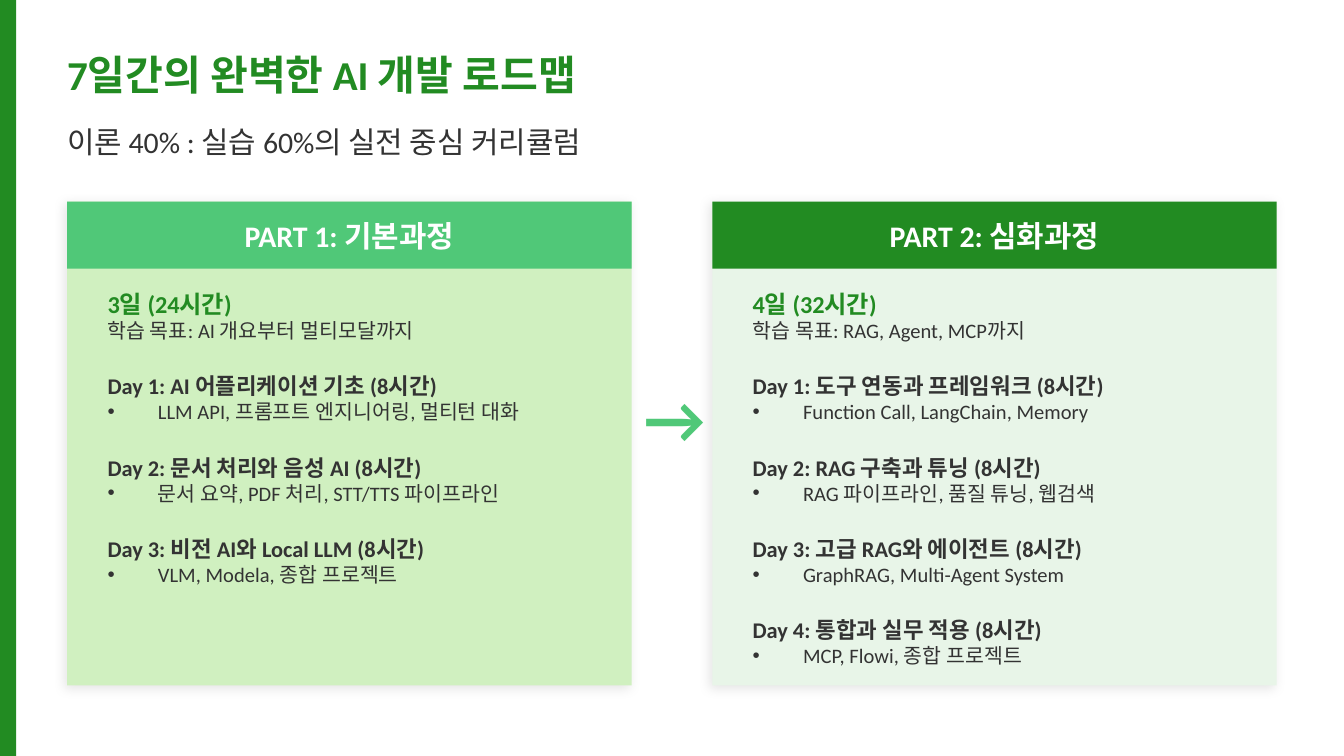
import dataclasses
import typing

import lxml.etree
import pptx
import pptx.dml.color
import pptx.enum.shapes
import pptx.enum.text
import pptx.oxml.ns
import pptx.util

SCALE = 4572  # EMU per px, 200 px to the inch
ALIGN = pptx.enum.text.PP_ALIGN
ANCHOR = pptx.enum.text.MSO_ANCHOR


@dataclasses.dataclass(frozen=True)
class Theme:
    font: str = "Calibri"
    green: str = "228B22"
    mint: str = "50C878"
    lime: str = "D0F0C0"
    pale: str = "E8F5E8"
    ink: str = "333333"
    white: str = "FFFFFF"
    shade: str = "000000"
    title: int = 22
    head: int = 16
    lead: int = 13
    day: int = 12
    note: int = 11
    arrow: int = 36
    gap: float = 15.9


class Box(typing.NamedTuple):
    left: int
    top: int
    width: int
    height: int


class Day(typing.NamedTuple):
    name: str
    topics: str


class Part(typing.NamedTuple):
    name: str
    span: str
    goal: str
    days: list[Day]
    left: int
    head: str
    fill: str


THEME = Theme()
PAGE = Box(0, 0, 2000, 1125)
CARD = Box(100, 300, 840, 720)
HEAD = 100
PAD = 40
STEP = 960
INDENT = 75

PARTS = [
    Part("PART 1: 기본과정", "3일 (24시간)", "학습 목표: AI 개요부터 멀티모달까지", [
        Day("Day 1: AI 어플리케이션 기초 (8시간)", "LLM API, 프롬프트 엔지니어링, 멀티턴 대화"),
        Day("Day 2: 문서 처리와 음성 AI (8시간)", "문서 요약, PDF 처리, STT/TTS 파이프라인"),
        Day("Day 3: 비전 AI와 Local LLM (8시간)", "VLM, Modela, 종합 프로젝트"),
    ], CARD.left, THEME.mint, THEME.lime),
    Part("PART 2: 심화과정", "4일 (32시간)", "학습 목표: RAG, Agent, MCP까지", [
        Day("Day 1: 도구 연동과 프레임워크 (8시간)", "Function Call, LangChain, Memory"),
        Day("Day 2: RAG 구축과 튜닝 (8시간)", "RAG 파이프라인, 품질 튜닝, 웹검색"),
        Day("Day 3: 고급 RAG와 에이전트 (8시간)", "GraphRAG, Multi-Agent System"),
        Day("Day 4: 통합과 실무 적용 (8시간)", "MCP, Flowi, 종합 프로젝트"),
    ], CARD.left + STEP, THEME.green, THEME.pale),
]


def px(n: int) -> int:
    return pptx.util.Emu(n * SCALE)


def rgb(code: str) -> pptx.dml.color.RGBColor:
    return pptx.dml.color.RGBColor.from_string(code)


def place(shape, box: Box) -> None:
    shape.left, shape.top, shape.width, shape.height = map(px, box)


def frame(shape, anchor, inset: bool = True):
    text = shape.text_frame
    text.word_wrap = True
    text.auto_size = pptx.enum.text.MSO_AUTO_SIZE.NONE
    text.vertical_anchor = anchor
    if not inset:
        text.margin_left = text.margin_right = 0
        text.margin_top = text.margin_bottom = 0
    return text


def write(para, text: str, size: int, color: str, bold: bool = False,
          align=ALIGN.LEFT) -> None:
    para.alignment = align
    run = para.add_run()
    run.text = text
    run.font.name = THEME.font
    run.font.size = pptx.util.Pt(size)
    run.font.bold = bold
    run.font.color.rgb = rgb(color)


def label(slide, box: Box):
    return slide.shapes.add_textbox(*map(px, box))


def rect(slide, box: Box, fill: str):
    shape = slide.shapes.add_shape(
        pptx.enum.shapes.MSO_SHAPE.RECTANGLE, *map(px, box))
    shape.shadow.inherit = False
    shape.fill.solid()
    shape.fill.fore_color.rgb = rgb(fill)
    shape.line.fill.background()
    return shape


def shade(shape) -> None:
    """Give the shape a soft drop shadow."""
    qn = pptx.oxml.ns.qn
    effect = shape.element.spPr.find(qn("a:effectLst"))
    drop = lxml.etree.SubElement(
        effect, qn("a:outerShdw"), blurRad=str(pptx.util.Pt(6)),
        dist=str(pptx.util.Pt(2)), dir=str(135 * 60000),
        algn="bl", rotWithShape="0")
    color = lxml.etree.SubElement(drop, qn("a:srgbClr"), val=THEME.shade)
    lxml.etree.SubElement(color, qn("a:alpha"), val="10000")


def mark(para, dot: bool) -> None:
    """Set the paragraph's indent, with a bullet or without."""
    qn = pptx.oxml.ns.qn
    props = para._p.get_or_add_pPr()
    wide = px(INDENT) if dot else 0
    props.set("marL", str(wide))
    props.set("indent", str(-wide))
    if dot:
        lxml.etree.SubElement(props, qn("a:buChar"), char="•")
    else:
        lxml.etree.SubElement(props, qn("a:buNone"))


def fill_list(shape, part: Part) -> None:
    text = frame(shape, ANCHOR.TOP)

    def line(words: str, size: int, color: str = THEME.ink, bold: bool = False,
             dot: bool = False, gap: float = 0) -> None:
        para = text.paragraphs[0] if words == part.span else text.add_paragraph()
        para.space_before = pptx.util.Pt(gap)
        mark(para, dot)
        write(para, words, size, color, bold)

    line(part.span, THEME.lead, THEME.green, True)
    line(part.goal, THEME.note)
    for day in part.days:
        line(day.name, THEME.day, bold=True, gap=THEME.gap)
        line(day.topics, THEME.note, dot=True)


def draw_part(slide, part: Part, body) -> None:
    card = CARD._replace(left=part.left)
    shade(rect(slide, card, part.fill))
    head = rect(slide, card._replace(height=HEAD), part.head)
    write(frame(head, ANCHOR.MIDDLE).paragraphs[0], part.name, THEME.head,
          THEME.white, True, ALIGN.CENTER)
    place(body, Box(card.left + PAD, card.top + HEAD + PAD // 2,
                    card.width - 2 * PAD, card.height - HEAD - PAD))
    fill_list(body, part)
    body.element.getparent().append(body.element)  # bring in front of the card


def main() -> None:
    deck = pptx.Presentation()
    deck.slide_width, deck.slide_height = px(PAGE.width), px(PAGE.height)
    slide = deck.slides.add_slide(deck.slide_layouts[3])
    title, *lists = list(slide.placeholders)[:3]

    rect(slide, PAGE._replace(width=24), THEME.green)
    place(title, Box(100, 50, 1800, 120))
    write(frame(title, ANCHOR.MIDDLE, False).paragraphs[0],
          "7일간의 완벽한 AI 개발 로드맵", THEME.title, THEME.green, True)
    sub = label(slide, Box(100, 170, 1800, 80))
    write(frame(sub, ANCHOR.MIDDLE, False).paragraphs[0],
          "이론 40% : 실습 60%의 실전 중심 커리큘럼", THEME.head, THEME.ink)

    for part, body in zip(PARTS, lists):
        draw_part(slide, part, body)

    gap = STEP - CARD.width
    arrow = label(slide, Box(CARD.left + CARD.width, 560, gap, gap))
    write(frame(arrow, ANCHOR.MIDDLE).paragraphs[0], "→", THEME.arrow,
          THEME.mint, True, ALIGN.CENTER)
    deck.save("out.pptx")


if __name__ == "__main__":
    main()
